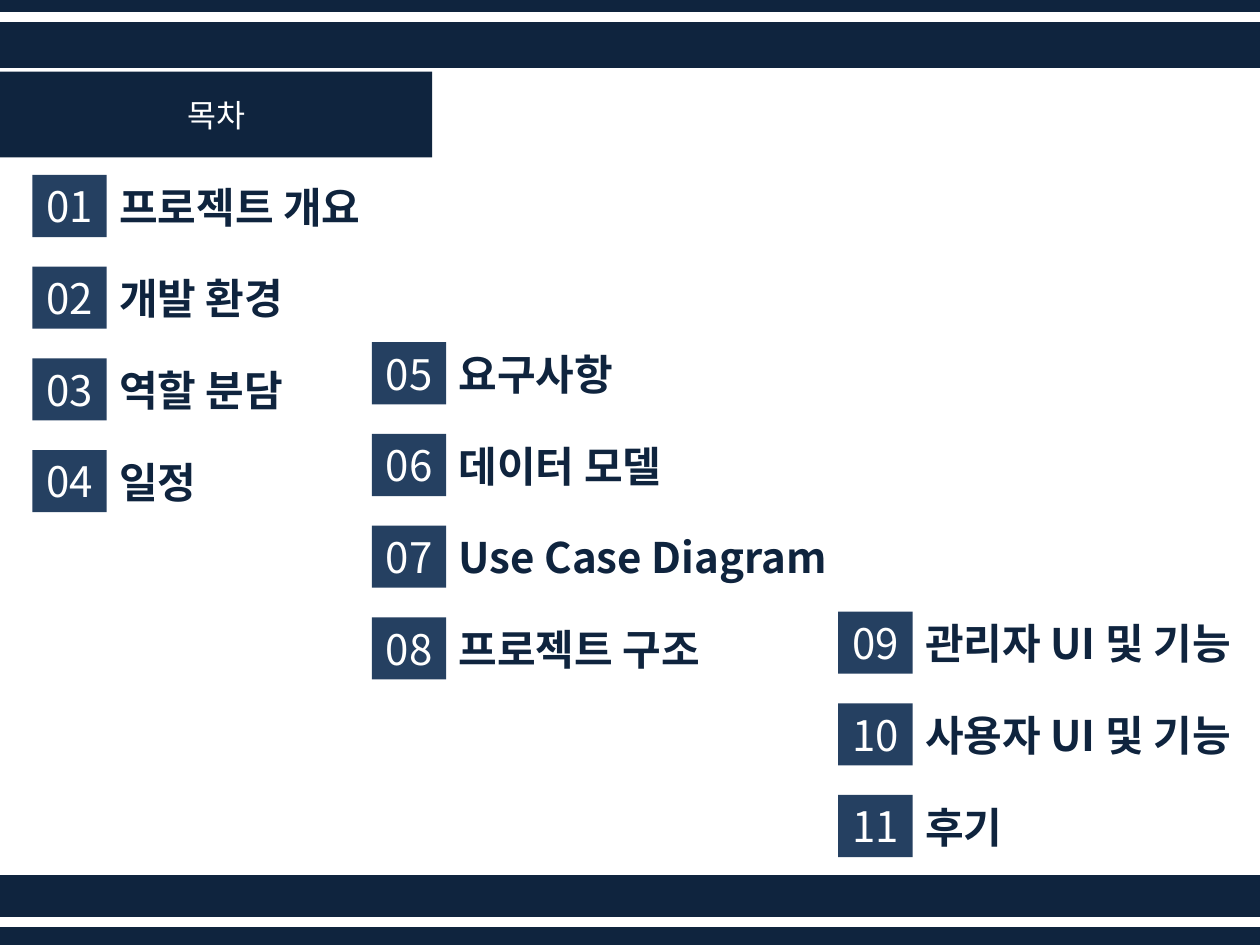
import pptx
import pptx.dml.color
import pptx.enum.shapes
import pptx.enum.text
import pptx.oxml.ns
import pptx.util
from lxml import etree

Pt = pptx.util.Pt
FONT = "Noto Sans CJK KR"
NAVY, BLUE, WHITE = "0F243E", "254061", "FFFFFF"
SLIDE_WIDTH, SLIDE_HEIGHT = 720, 540
ENTRY_PITCH, ENTRY_HEIGHT = 52.4, 35.5
BADGE_WIDTH, LABEL_WIDTH = 42.5, 327.6
COLUMNS = [
    (18.5, 100, ["프로젝트 개요", "개발 환경", "역할 분담", "일정"]),
    (212.5, 195.6, ["요구사항", "데이터 모델", "Use Case Diagram", "프로젝트 구조"]),
    (479, 349.5, ["관리자 UI 및 기능", "사용자 UI 및 기능", "후기"]),
]


def color(value):
    """Return the colour for a hex string."""
    return pptx.dml.color.RGBColor.from_string(value)


def paint(shape, fill):
    """Give a shape a solid fill."""
    shape.fill.solid()
    shape.fill.fore_color.rgb = color(fill)


def write(shape, text, size, text_color, bold=False, centered=False):
    """Write one line of text into a shape."""
    frame = shape.text_frame
    frame.word_wrap = True
    frame.auto_size = pptx.enum.text.MSO_AUTO_SIZE.NONE
    paragraph = frame.paragraphs[0]
    paragraph.alignment = pptx.enum.text.PP_ALIGN.LEFT
    frame.vertical_anchor = pptx.enum.text.MSO_ANCHOR.TOP
    if centered:
        paragraph.alignment = pptx.enum.text.PP_ALIGN.CENTER
        frame.vertical_anchor = pptx.enum.text.MSO_ANCHOR.MIDDLE
    run = paragraph.add_run()
    run.text = text
    run.font.name = FONT
    run.font.size = Pt(size)
    run.font.bold = bold
    run.font.color.rgb = color(text_color)
    properties = run.font._element
    etree.SubElement(properties, pptx.oxml.ns.qn("a:ea"), typeface=FONT)


def add_rectangle(shapes, left, top, width, height, fill):
    """Add a plain rectangle without outline."""
    shape = shapes.add_shape(
        pptx.enum.shapes.MSO_SHAPE.RECTANGLE, Pt(left), Pt(top), Pt(width), Pt(height))
    shape.shadow.inherit = False
    paint(shape, fill)
    shape.line.fill.background()
    return shape


def add_frame(slide):
    """Draw the navy background, the white stripes and the white panel."""
    slide.background.fill.solid()
    slide.background.fill.fore_color.rgb = color(NAVY)
    for top, height in [(7.9, 3.6), (524.9, 3.6), (39.6, 459.4)]:
        band = add_rectangle(slide.shapes, 0, top, SLIDE_WIDTH, height, WHITE)
        band.line.color.rgb = color(WHITE)
        band.line.width = Pt(2)


def add_title(slide, left, top, width, height):
    """Place the title tab in front of the panel."""
    title = slide.shapes.title
    title.left, title.top = Pt(left), Pt(top)
    title.width, title.height = Pt(width), Pt(height)
    paint(title, NAVY)
    write(title, "목차", 18, WHITE, centered=True)
    title.element.getparent().append(title.element)


def add_entry(slide, left, top, number, text):
    """Add one grouped contents entry: label and number badge."""
    shapes = slide.shapes.add_group_shape().shapes
    label = shapes.add_textbox(
        Pt(left + BADGE_WIDTH), Pt(top), Pt(LABEL_WIDTH), Pt(ENTRY_HEIGHT))
    write(label, text, 24, NAVY, bold=True)
    badge = add_rectangle(shapes, left, top, BADGE_WIDTH, ENTRY_HEIGHT, BLUE)
    write(badge, f"{number:02d}", 24, WHITE, centered=True)


def add_contents(slide):
    """Add the stepped columns of numbered entries."""
    number = 1
    for left, top, entries in COLUMNS:
        for row, text in enumerate(entries):
            add_entry(slide, left, top + row * ENTRY_PITCH, number, text)
            number += 1


def main():
    """Build and save the contents slide."""
    presentation = pptx.Presentation()
    presentation.slide_width = Pt(SLIDE_WIDTH)
    presentation.slide_height = Pt(SLIDE_HEIGHT)
    slide = presentation.slides.add_slide(presentation.slide_layouts[5])
    add_frame(slide)
    add_title(slide, 0, 41, 247, 49)
    add_contents(slide)
    presentation.save("out.pptx")


if __name__ == "__main__":
    main()
